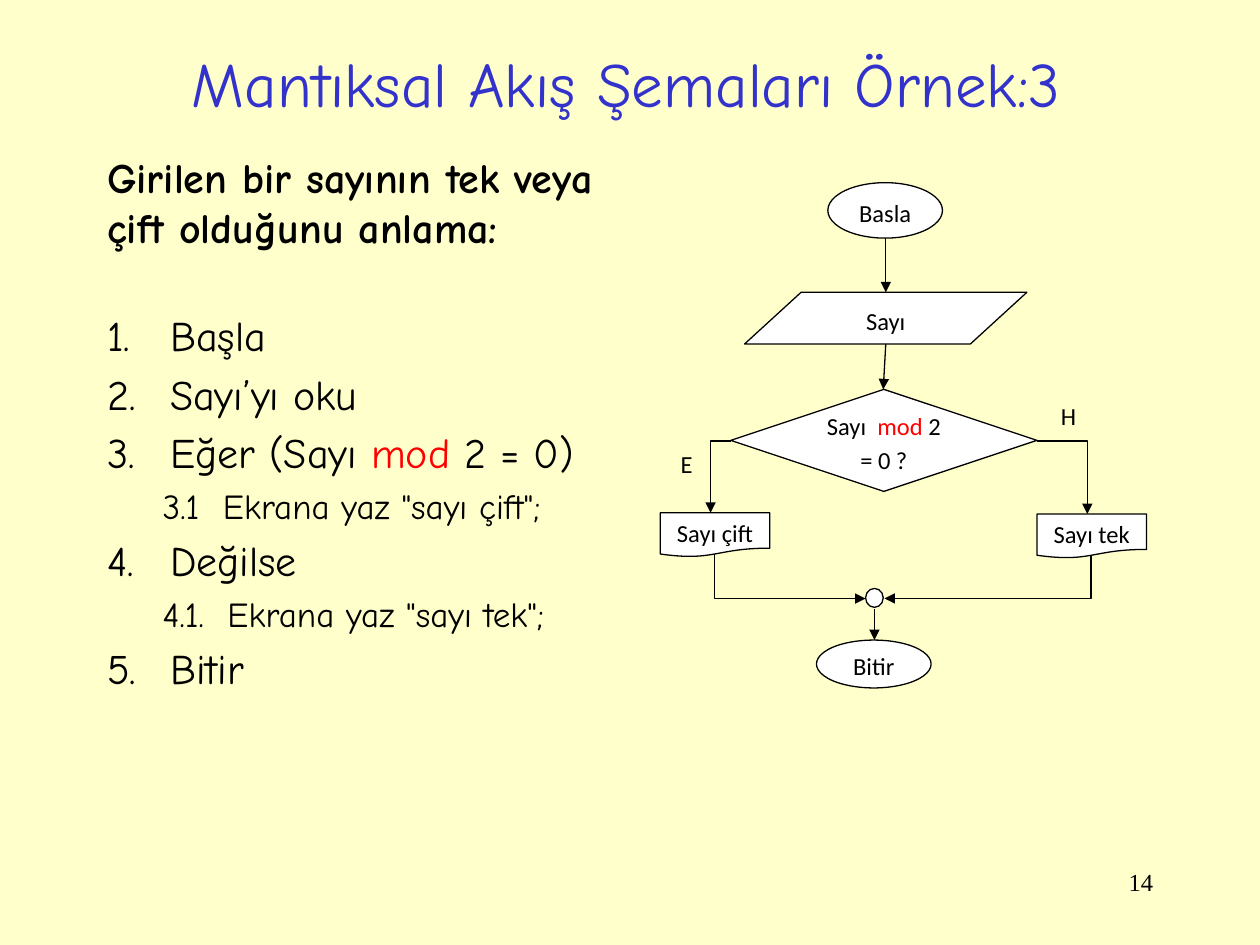
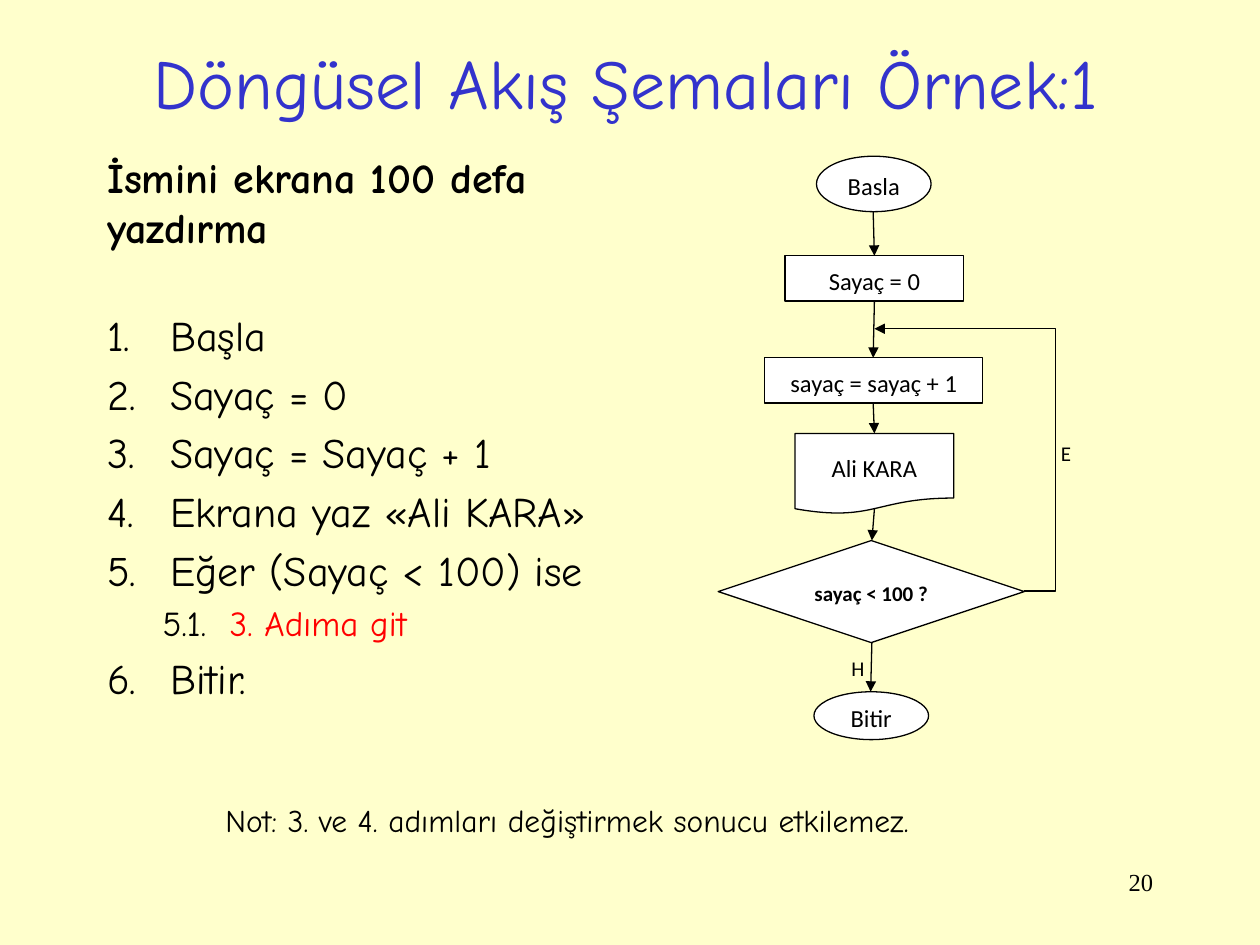
from lxml import etree
from pptx import Presentation
from pptx.dml.color import RGBColor
from pptx.enum.shapes import MSO_CONNECTOR, MSO_SHAPE
from pptx.enum.text import MSO_ANCHOR, MSO_AUTO_SIZE, PP_ALIGN
from pptx.oxml.ns import qn
from pptx.util import Inches, Pt

TERMINAL = MSO_SHAPE.FLOWCHART_CONNECTOR
INPUT = MSO_SHAPE.FLOWCHART_DATA
DECISION = MSO_SHAPE.FLOWCHART_DECISION
DOCUMENT = MSO_SHAPE.FLOWCHART_DOCUMENT
PROCESS = MSO_SHAPE.RECTANGLE
JUNCTION = MSO_SHAPE.OVAL
STRAIGHT, ELBOW = MSO_CONNECTOR.STRAIGHT, MSO_CONNECTOR.ELBOW
LEFT, CENTER, RIGHT = PP_ALIGN.LEFT, PP_ALIGN.CENTER, PP_ALIGN.RIGHT
MIDDLE = MSO_ANCHOR.MIDDLE
NO_FIT = MSO_AUTO_SIZE.NONE

COLORS = {"back": "FFFFCC", "title": "3333CC", "text": "000000",
          "mark": "FF0000", "fill": "FFFFFF", "line": "000000"}
HAND, CHART, NUMBER = "Comic Neue", "Calibri", "Times New Roman"


def rgb(name):
    """Return the named colour."""
    return RGBColor.from_string(COLORS[name])


class Deck:
    """Holds the shared style and the current slide."""

    def __init__(self):
        """Start a presentation with a plain coloured background."""
        self.prs = Presentation()
        self.prs.slide_width, self.prs.slide_height = Inches(10), Inches(7.5)
        fill = self.prs.slide_master.background.fill
        fill.solid()
        fill.fore_color.rgb = rgb("back")

    def add_runs(self, p, text, size, font, color="text", bold=False):
        """Add runs to a paragraph; text between asterisks is marked."""
        for i, part in enumerate(text.split("*")):
            if part:
                r = p.add_run()
                r.text = part
                r.font.size, r.font.name, r.font.bold = Pt(size), font, bold
                r.font.color.rgb = rgb("mark" if i % 2 else color)

    def place(self, sp, x, y, w, h):
        """Move a shape to a place given in inches."""
        sp.left, sp.top, sp.width, sp.height = map(Inches, (x, y, w, h))

    def slide(self, title, number, size):
        """Add a slide with its title and page number."""
        self.s = self.prs.slides.add_slide(self.prs.slide_layouts[1])
        sp = self.s.shapes.title
        self.place(sp, 0.72, 0.15, 8.5, 1)
        tf = sp.text_frame
        tf.auto_size, tf.vertical_anchor = NO_FIT, MIDDLE
        tf.paragraphs[0].alignment = CENTER
        self.add_runs(tf.paragraphs[0], title, size, HAND, "title")
        self.text(number, 7.17, 6.83, 2.08, 0.5, 14, NUMBER, RIGHT)

    def body(self, heading, steps, height):
        """Fill the body with a heading, numbered steps and (in tuples) substeps."""
        sp = self.s.placeholders[1]
        self.place(sp, 0.75, 1.15, 4.41, height)
        tf = sp.text_frame
        tf.auto_size = NO_FIT
        p = tf.paragraphs[0]
        self.add_runs(p, heading, 24, HAND, bold=True)
        p.space_after = Pt(28)
        self.bullet(p, 0, 0)
        for step in steps:
            p = tf.add_paragraph()
            if isinstance(step, tuple):
                p.level = 1
                self.add_runs(p, step[0], 20, HAND)
                self.bullet(p, 0.44, 0)
            else:
                self.add_runs(p, step, 24, HAND)
                self.bullet(p, 0.5, -0.5, numbered=True)

    def bullet(self, p, margin, indent, numbered=False):
        """Set the indents and the numbering of a paragraph."""
        pPr = p._p.get_or_add_pPr()
        pPr.set("marL", str(Inches(margin)))
        pPr.set("indent", str(Inches(indent)))
        if numbered:
            etree.SubElement(pPr, qn("a:buAutoNum"), type="arabicPeriod")
        else:
            etree.SubElement(pPr, qn("a:buNone"))

    def text(self, text, x, y, w, h, size, font, align=LEFT):
        """Add a text box."""
        sp = self.s.shapes.add_textbox(*map(Inches, (x, y, w, h)))
        tf = sp.text_frame
        tf.word_wrap = True
        tf.paragraphs[0].alignment = align
        self.add_runs(tf.paragraphs[0], text, size, font)
        return sp

    def chart_style(self, sp):
        """Give the text of a flow chart element its spacing."""
        tf = sp.text_frame
        tf.word_wrap, tf.vertical_anchor = True, MIDDLE
        p = tf.paragraphs[0]
        p.alignment, p.line_spacing, p.space_after = CENTER, 1.15, Pt(10)
        return p

    def label(self, text, x, y, size=14):
        """Add the label of a branch."""
        self.chart_style(self.text(text, x, y, 0.66, 0.37, size, CHART))

    def node(self, kind, text, x, y, w, h, size=14, bold=False):
        """Add a flow chart symbol."""
        sp = self.s.shapes.add_shape(kind, *map(Inches, (x, y, w, h)))
        sp.shadow.inherit = False
        sp.fill.solid()
        sp.fill.fore_color.rgb = rgb("fill")
        sp.line.color.rgb, sp.line.width = rgb("line"), Pt(0.75)
        self.add_runs(self.chart_style(sp), text, size, CHART, bold=bold)

    def arrow(self, x1, y1, x2, y2, kind=STRAIGHT):
        """Add a connector with an arrowhead at its end."""
        c = self.s.shapes.add_connector(kind, *map(Inches, (x1, y1, x2, y2)))
        c.line.color.rgb, c.line.width = rgb("line"), Pt(0.75)
        spPr = c._element.spPr
        etree.SubElement(spPr.find(qn("a:ln")), qn("a:tailEnd"), type="triangle")
        etree.SubElement(spPr, qn("a:effectLst"))
        return c

    def corner(self, x1, y1, x2, y2, down_first=False):
        """Add an arrow with one bend, turned by 90 degrees if it starts down."""
        if down_first:
            cx, cy, dx, dy = (x1 + x2) / 2, (y1 + y2) / 2, x2 - x1, y2 - y1
            c = self.arrow(cx - dy / 2, cy + dx / 2, cx + dy / 2, cy - dx / 2, ELBOW)
            c._element.spPr.find(qn("a:xfrm")).set("rot", "5400000")
        else:
            c = self.arrow(x1, y1, x2, y2, ELBOW)
        c._element.spPr.find(qn("a:prstGeom")).set("prst", "bentConnector2")

    def loop(self, x1, y1, x2, y2, via_x):
        """Add an arrow that runs back by way of a vertical line at via_x."""
        c = self.arrow(x1, y1, x2, y2, ELBOW)
        geom = c._element.spPr.find(qn("a:prstGeom"))
        guides = geom.find(qn("a:avLst"))
        if guides is None:
            guides = etree.SubElement(geom, qn("a:avLst"))
        bend = round((via_x - x1) / (x2 - x1) * 100000)
        etree.SubElement(guides, qn("a:gd"), name="adj1", fmla=f"val {bend}")


def odd_even(deck):
    """Build the slide on odd and even numbers."""
    deck.slide("Mantıksal Akış Şemaları Örnek:3", "14", 36)
    deck.body("Girilen bir sayının tek veya çift olduğunu anlama:",
              ["Başla", "Sayı’yı oku", "Eğer (Sayı *mod* 2 = 0)",
               ('3.1  Ekrana yaz "sayı çift";',), "Değilse",
               ('4.1.  Ekrana yaz "sayı tek";',), "Bitir"], 5.52)
    deck.node(TERMINAL, "Basla", 6.57, 1.45, 0.91, 0.44)
    deck.arrow(7.03, 1.89, 7.03, 2.32)
    deck.node(INPUT, "Sayı", 5.91, 2.32, 2.24, 0.41)
    deck.arrow(7.03, 2.73, 7.01, 3.09)
    deck.node(DECISION, "Sayı  *mod* 2 = 0 ?", 5.8, 3.09, 2.43, 0.81)
    deck.node(TERMINAL, "Bitir", 6.48, 5.08, 0.91, 0.38)
    deck.corner(8.23, 3.5, 8.63, 4.08)
    deck.node(DOCUMENT, "Sayı tek", 8.23, 4.08, 0.87, 0.35)
    deck.node(DOCUMENT, "Sayı çift", 5.24, 4.07, 0.87, 0.35)
    deck.corner(5.8, 3.5, 5.64, 4.07)
    deck.corner(5.67, 4.4, 6.87, 4.75, down_first=True)
    deck.corner(8.66, 4.41, 7.02, 4.75, down_first=True)
    deck.node(JUNCTION, "", 6.87, 4.67, 0.14, 0.15)
    deck.arrow(6.94, 4.83, 6.94, 5.08)
    deck.label("E", 5.12, 3.48)
    deck.label("H", 8.15, 3.1)


def counting_loop(deck):
    """Build the slide on a loop with a counter."""
    deck.slide("Döngüsel Akış Şemaları Örnek:1", "20", 40)
    deck.body("İsmini ekrana 100 defa yazdırma",
              ["Başla", "Sayaç = 0", "Sayaç = Sayaç + 1",
               "Ekrana yaz «Ali KARA»", "Eğer (Sayaç < 100) ise",
               ("5.1.  *3. Adıma git*",), "Bitir."], 4.72)
    deck.node(TERMINAL, "Basla", 6.48, 1.24, 0.91, 0.44)
    deck.arrow(6.93, 1.68, 6.94, 2.03)
    deck.node(PROCESS, "Sayaç = 0", 6.23, 2.03, 1.42, 0.36)
    deck.arrow(6.93, 3.2, 6.94, 3.44)
    deck.node(DECISION, "sayaç < 100 ?", 5.7, 4.29, 2.43, 0.81, 12, True)
    deck.node(TERMINAL, "Bitir", 6.46, 5.49, 0.91, 0.38)
    deck.node(DOCUMENT, "Ali KARA", 6.31, 3.44, 1.26, 0.64)
    deck.loop(8.13, 4.69, 6.94, 2.61, via_x=8.38)
    deck.arrow(6.92, 5.1, 6.91, 5.49)
    deck.label("H", 6.48, 5.1, 12)
    deck.label("E", 8.13, 3.4, 12)
    deck.node(PROCESS, "sayaç = sayaç + 1", 6.07, 2.84, 1.73, 0.36)
    deck.arrow(6.94, 2.39, 6.93, 2.84)
    deck.arrow(6.94, 4.04, 6.92, 4.29)
    deck.text("Not: 3. ve 4. adımları değiştirmek sonucu etkilemez.",
              1.69, 6.31, 6.77, 0.4, 18, HAND)


deck = Deck()
odd_even(deck)
counting_loop(deck)
deck.prs.save("out.pptx")
